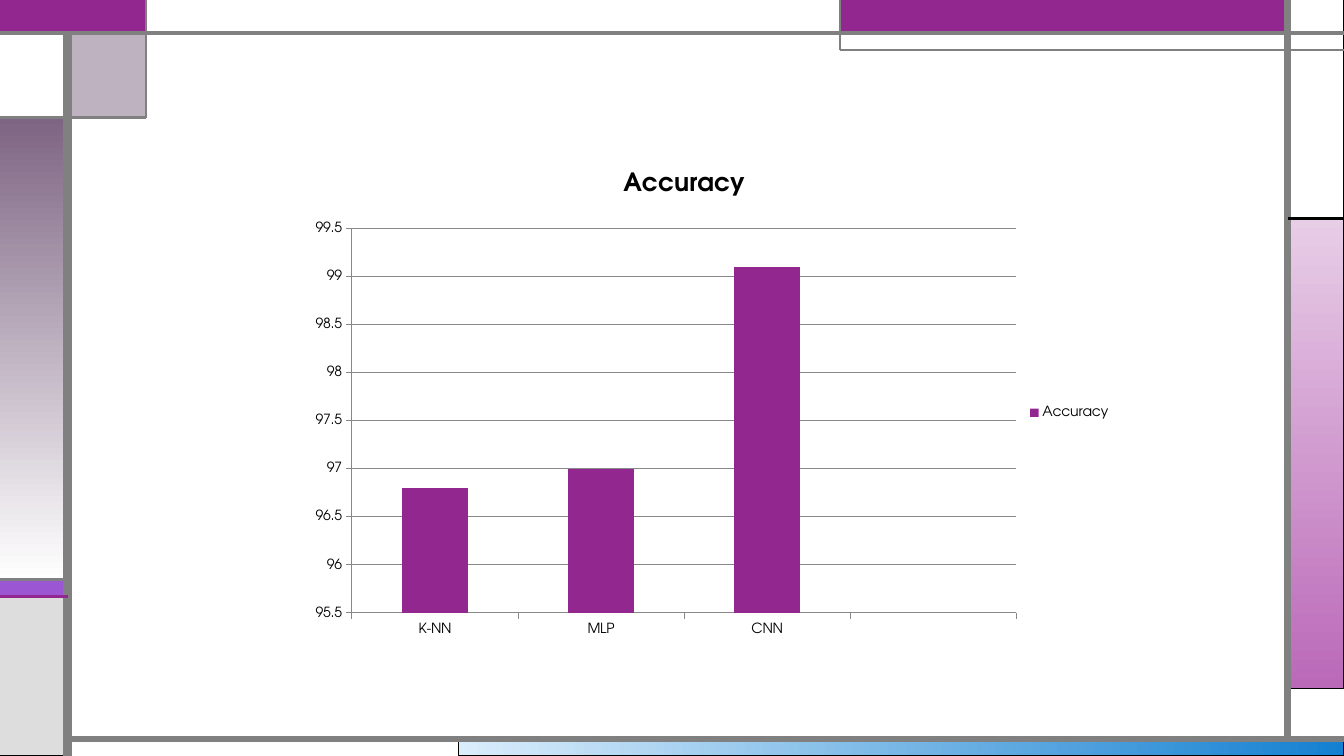
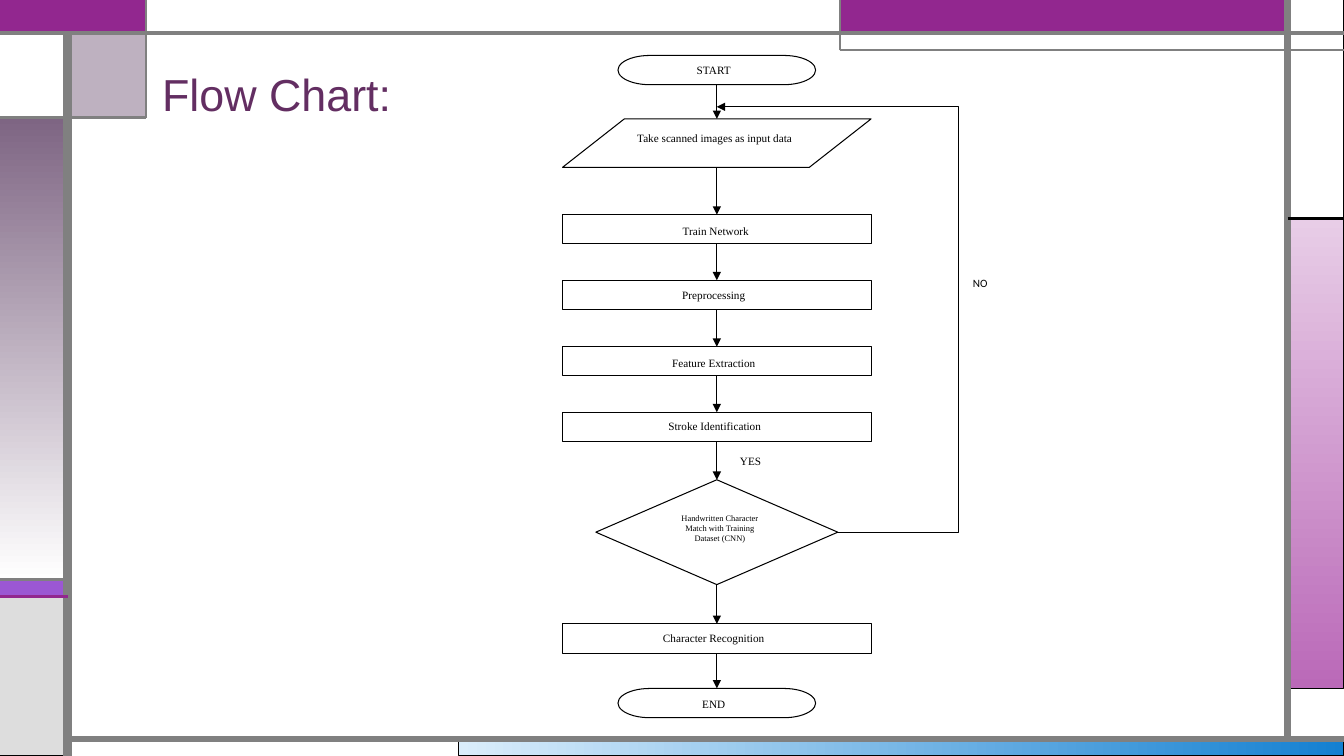
from pptx import Presentation
from pptx.chart.data import CategoryChartData
from pptx.dml.color import RGBColor
from pptx.enum.chart import XL_CHART_TYPE, XL_LEGEND_POSITION
from pptx.enum.shapes import MSO_CONNECTOR as CONN, MSO_SHAPE as SHAPE
from pptx.enum.text import MSO_ANCHOR as ANCHOR, PP_ALIGN as ALIGN
from pptx.oxml import parse_xml
from pptx.oxml.ns import nsdecls, qn
from pptx.util import Inches, Pt

PURPLE, GRAY, BLACK, WHITE = "92278F", "808080", "000000", "FFFFFF"
MAUVE, TITLE_COLOR, GRID = "7E6583", "632E62", "888888"
TITLE_FONT, FLOW_FONT, CHART_FONT = "Arial", "Times New Roman", "TeX Gyre Adventor"

# Frame grid: column and row edges
WIDTH, HEIGHT = 13.33, 7.5
LEFT, TAB, BAND, RIGHT = 0.67, 1.45, 8.33, 12.77
TOP, TAB_END, STRIPE, STRIPE_END, BOTTOM = 0.33, 1.17, 5.75, 5.92, 7.33

# Flow chart
CENTER = 7.11
BOX_W, BOX_H, END_W = 3.06, 0.29, 1.96
STEPS = [  # text, shape, top, width, height, text size, text shift (x, y)
    ("START", SHAPE.FLOWCHART_TERMINATOR, 0.55, END_W, BOX_H, 8, (-0.03, 0)),
    ("Take scanned images as input data", SHAPE.FLOWCHART_DATA,
     1.18, BOX_W, 0.48, 8, (-0.02, -0.05)),
    ("Train Network", SHAPE.RECTANGLE, 2.13, BOX_W, BOX_H, 8, (-0.01, 0.02)),
    ("Preprocessing", SHAPE.RECTANGLE, 2.78, BOX_W, BOX_H, 8, (-0.03, 0)),
    ("Feature Extraction", SHAPE.RECTANGLE, 3.44, BOX_W, BOX_H, 8, (-0.03, 0.02)),
    ("Stroke Identification", SHAPE.RECTANGLE, 4.09, BOX_W, BOX_H, 8, (-0.02, -0.01)),
    ("Handwritten Character Match with Training Dataset (CNN)",
     SHAPE.FLOWCHART_DECISION, 4.76, 2.4, 1.04, 6, (0.03, -0.04)),
    ("Character Recognition", SHAPE.RECTANGLE, 6.19, BOX_W, BOX_H, 8, (-0.03, -0.01)),
    ("END", SHAPE.FLOWCHART_TERMINATOR, 6.83, END_W, BOX_H, 8, (-0.03, 0.01)),
]


def rgb(color):
    return RGBColor.from_string(color)


def set_fill(fill, colors, angle=0):
    """Fill solid for one colour, or with a gradient for a pair."""
    if isinstance(colors, str):
        fill.solid()
        fill.fore_color.rgb = rgb(colors)
        return
    fill.gradient()
    fill.gradient_angle = angle
    for stop, color in zip(fill.gradient_stops, colors):
        stop.color.rgb = rgb(color)


def set_line(line, color, width):
    line.color.rgb = rgb(color)
    line.width = Pt(width)


def set_alpha(sp, percent):
    color = sp.element.spPr.find(qn("a:solidFill"))[0]
    color.append(parse_xml(f'<a:alpha {nsdecls("a")} val="{percent * 1000}"/>'))


def add_box(slide, kind, x, y, w, h, fill, line=BLACK, width=0.75, angle=0):
    sp = slide.shapes.add_shape(kind, Inches(x), Inches(y), Inches(w), Inches(h))
    sp.shadow.inherit = False
    set_fill(sp.fill, fill, angle)
    set_line(sp.line, line, width)
    return sp


def add_line(slide, x1, y1, x2, y2, color=BLACK, width=0.75, arrow=False,
             kind=CONN.STRAIGHT):
    line = slide.shapes.add_connector(kind, Inches(x1), Inches(y1),
                                      Inches(x2), Inches(y2))
    set_line(line.line, color, width)
    if arrow:
        line.line._get_or_add_ln().append(
            parse_xml(f'<a:tailEnd {nsdecls("a")} type="triangle"/>'))
    line.element.spPr.append(parse_xml(f'<a:effectLst {nsdecls("a")}/>'))
    return line


def set_text(sp, text, size, color, font, align=ALIGN.CENTER,
             anchor=ANCHOR.MIDDLE, side=0.1, shift=(0, 0)):
    """Write one paragraph; shift moves it off the middle by uneven margins."""
    dx, dy = shift
    tf = sp.text_frame
    tf.word_wrap = True
    tf.vertical_anchor = anchor
    tf.margin_left, tf.margin_right = Inches(side + dx), Inches(side - dx)
    tf.margin_top, tf.margin_bottom = Inches(0.05 + dy), Inches(0.05 - dy)
    tf.text = text
    p = tf.paragraphs[0]
    p.alignment = align
    r = p.runs[0]
    r.font.size, r.font.name = Pt(size), font
    r.font.color.rgb = rgb(color)
    return p


def add_label(slide, text, x, y, w, h, size, color, font, anchor=ANCHOR.MIDDLE):
    tb = slide.shapes.add_textbox(Inches(x), Inches(y), Inches(w), Inches(h))
    return set_text(tb, text, size, color, font, ALIGN.LEFT, anchor)


def add_title(slide, text):
    p = add_label(slide, text, 1.51, 0, 10.5, 1.25, 32, TITLE_COLOR, TITLE_FONT,
                  ANCHOR.BOTTOM)
    p.line_spacing = 0.9


def draw_frame(slide):
    panels = [  # left, top, right, bottom, fill, line, line width, angle
        (4.55, BOTTOM, WIDTH, HEIGHT, ("DAEDFB", "1480D1"), BLACK, 0.75, 0),
        (RIGHT, 2.17, WIDTH, 6.83, ("E8CDE7", "BA69B8"), BLACK, 0.75, 270),
        (0, STRIPE, LEFT, STRIPE_END, "9B57D3", BLACK, 0.75, 0),
        (0, STRIPE_END, LEFT, HEIGHT, "DDDDDD", BLACK, 0.75, 0),
        (RIGHT, 0, WIDTH, 2.17, WHITE, BLACK, 0.75, 0),
        (BAND, 0, RIGHT, TOP, PURPLE, "755DD9", 0.75, 0),
        (0, TAB_END, LEFT, STRIPE, (MAUVE, WHITE), BLACK, 0.75, 270),
        (0, TOP, LEFT, TAB_END, WHITE, BLACK, 0.75, 0),
        (0, 0, TAB, TOP, PURPLE, PURPLE, 1.5, 0),
        (TAB, 0, BAND, TOP, WHITE, GRAY, 0.75, 0),
    ]
    for x1, y1, x2, y2, fill, line, width, angle in panels:
        add_box(slide, SHAPE.RECTANGLE, x1, y1, x2 - x1, y2 - y1,
                fill, line, width, angle)
    tab = add_box(slide, SHAPE.RECTANGLE, LEFT, TOP, TAB - LEFT, TAB_END - TOP, MAUVE)
    set_alpha(tab, 50)

    rules = [
        (LEFT, HEIGHT, LEFT, TOP, GRAY, 6),
        (LEFT, BOTTOM, WIDTH, BOTTOM, GRAY, 4.5),
        (RIGHT, BOTTOM, RIGHT, 0, GRAY, 4.5),
        (0, TOP, WIDTH, TOP, GRAY, 3),
        (WIDTH, 0.5, BAND, 0.5, GRAY, 1.5),
        (BAND, 0.5, BAND, 0, GRAY, 1.5),
        (RIGHT, 2.17, WIDTH, 2.17, BLACK, 2.25),
        (TAB, 0, TAB, TAB_END, GRAY, 1.5),
        (TAB, TAB_END, 0, TAB_END, GRAY, 2.25),
        (LEFT, STRIPE, 0, STRIPE, GRAY, 2.25),
        (LEFT, STRIPE_END, 0, STRIPE_END, PURPLE, 2.25),
    ]
    for rule in rules:
        add_line(slide, *rule)


def move_to_layout(slide):
    """Make the shapes of a slide the background of its layout."""
    layout = slide.slide_layout
    for ph in list(layout.placeholders):
        ph.element.getparent().remove(ph.element)
    for sp in list(slide.shapes):
        layout.shapes.element.append(sp.element)


def set_plot_area(chart, x, y, w, h):
    area = chart.element.find(".//" + qn("c:plotArea"))
    for old in area.findall(qn("c:layout")):
        area.remove(old)
    values = [("layoutTarget", "inner"), ("xMode", "edge"), ("yMode", "edge"),
              ("x", x), ("y", y), ("w", w), ("h", h)]
    items = "".join(f'<c:{tag} val="{val}"/>' for tag, val in values)
    area.insert(0, parse_xml(f'<c:layout {nsdecls("c")}><c:manualLayout>{items}'
                             '</c:manualLayout></c:layout>'))


def add_accuracy_chart(slide):
    data = CategoryChartData()
    data.categories = ["K-NN", "MLP", "CNN", ""]
    data.add_series("Accuracy", [96.8, 97, 99.1, None])
    chart = slide.shapes.add_chart(
        XL_CHART_TYPE.COLUMN_CLUSTERED, Inches(2.45), Inches(1.48),
        Inches(8.67), Inches(5.23), data).chart
    chart.font.size, chart.font.name = Pt(10), CHART_FONT
    chart.font.color.rgb = rgb(BLACK)

    chart.has_title = True
    tf = chart.chart_title.text_frame
    tf.text = "Accuracy"
    font = tf.paragraphs[0].runs[0].font
    font.size, font.bold, font.name = Pt(18), True, CHART_FONT
    font.color.rgb = rgb(BLACK)

    chart.has_legend = True
    chart.legend.position = XL_LEGEND_POSITION.RIGHT
    chart.legend.include_in_layout = False

    plot = chart.plots[0]
    plot.gap_width = 150
    plot.vary_by_categories = False
    set_fill(plot.series[0].format.fill, PURPLE)

    axis = chart.value_axis
    axis.minimum_scale, axis.maximum_scale, axis.major_unit = 95.5, 99.5, 0.5
    axis.tick_labels.number_format = "General"
    axis.tick_labels.number_format_is_linked = False
    for line in (axis.format.line, axis.major_gridlines.format.line,
                 chart.category_axis.format.line):
        set_line(line, GRID, 0.75)
    set_plot_area(chart, 0.12, 0.15, 0.76, 0.73)


def add_retry_loop(slide, start_x, start_y, end_y, loop_x):
    """Lead from the decision out to loop_x and back to the main column."""
    loop = add_line(slide, start_x, start_y, CENTER, end_y, arrow=True,
                    kind=CONN.ELBOW)
    bend = round((loop_x - start_x) / (CENTER - start_x) * 100000)
    guides = loop.element.spPr.find(qn("a:prstGeom")).get_or_add_avLst()
    guides.append(parse_xml(f'<a:gd {nsdecls("a")} name="adj1" fmla="val {bend}"/>'))


def add_flow_chart(slide):
    last_bottom = None
    for text, kind, top, w, h, size, shift in STEPS:
        sp = add_box(slide, kind, CENTER - w / 2, top, w, h, WHITE)
        decision = kind == SHAPE.FLOWCHART_DECISION
        set_text(sp, text, size, BLACK, FLOW_FONT,
                 side=0.2 if decision else 0.1, shift=shift)
        if last_bottom is not None:
            add_line(slide, CENTER, last_bottom, CENTER, top, arrow=True)
        last_bottom = top + h
        if decision:
            add_retry_loop(slide, CENTER + w / 2, top + h / 2, 1.06, 9.51)
    add_label(slide, "YES", 7.24, 4.47, 0.51, 0.2, 8, BLACK, FLOW_FONT)
    add_label(slide, "NO", 9.55, 2.68, 0.54, 0.26, 8, BLACK, "Calibri")


def main():
    prs = Presentation()
    prs.slide_width, prs.slide_height = Inches(WIDTH), Inches(HEIGHT)
    blank = prs.slide_layouts[6]

    slide = prs.slides.add_slide(blank)
    draw_frame(slide)
    move_to_layout(slide)
    add_accuracy_chart(slide)

    slide = prs.slides.add_slide(blank)
    add_title(slide, "Flow Chart:")
    add_flow_chart(slide)

    prs.save("out.pptx")


if __name__ == "__main__":
    main()
